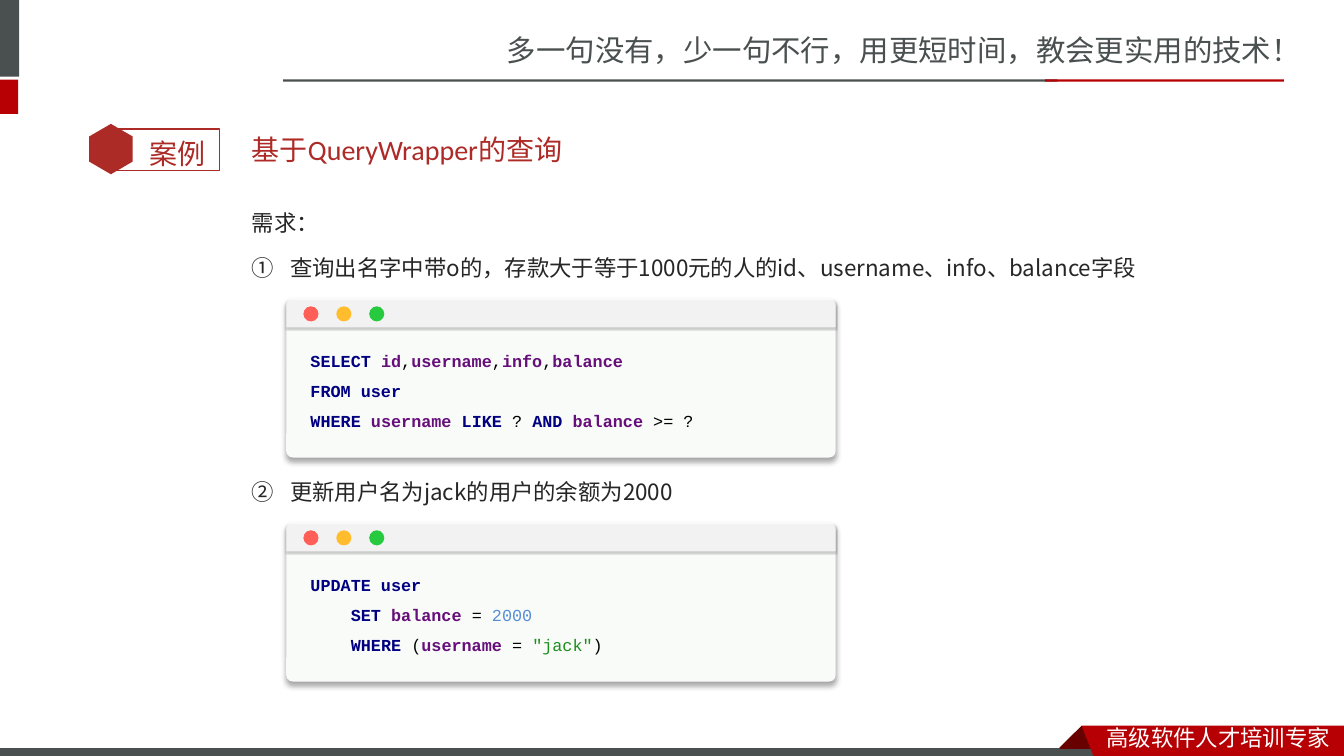
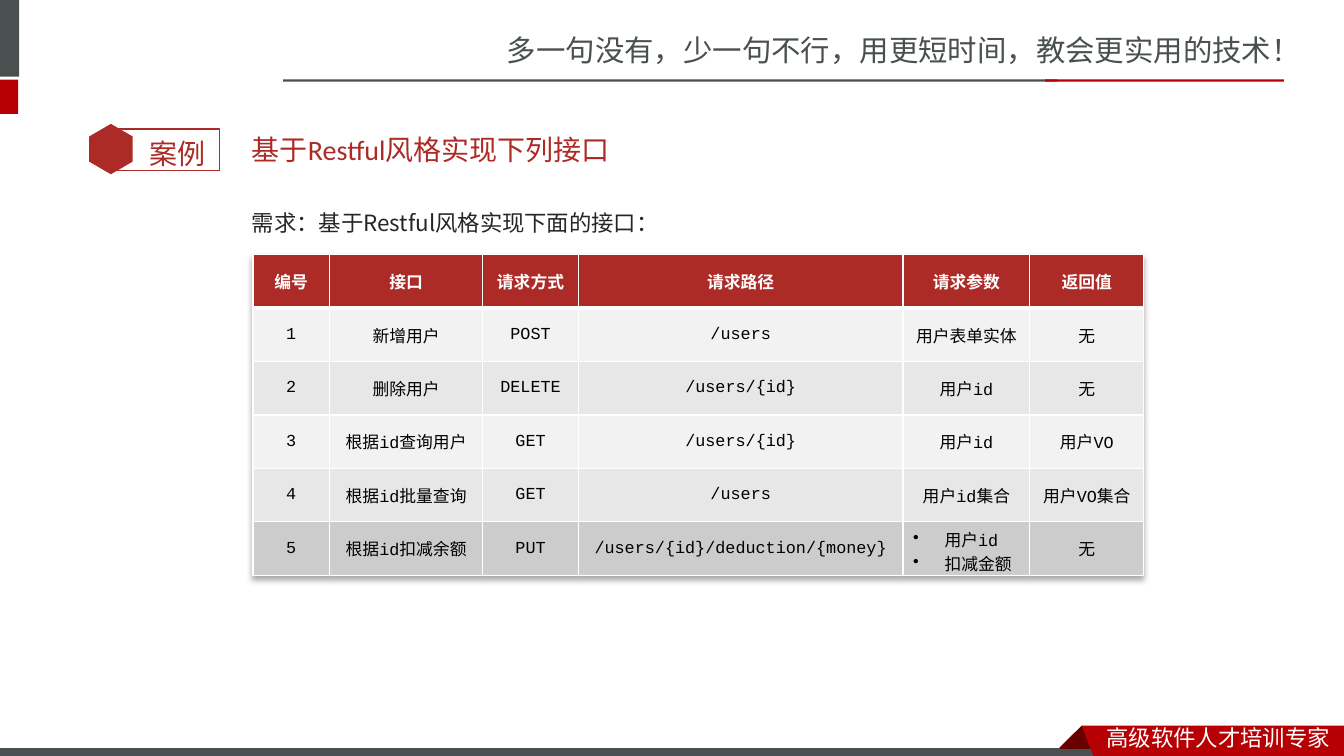
import dataclasses

import lxml.etree
import pptx
import pptx.dml.color
import pptx.enum.shapes
import pptx.enum.text
import pptx.oxml.ns
import pptx.util

Pt = pptx.util.Pt
qn = pptx.oxml.ns.qn
SHAPES = pptx.enum.shapes.MSO_SHAPE
MIDDLE = pptx.enum.text.MSO_ANCHOR.MIDDLE
CENTER = pptx.enum.text.PP_ALIGN.CENTER


@dataclasses.dataclass(frozen=True)
class Theme:
    gray: str = "49504F"
    red: str = "B60004"
    dark_red: str = "680000"
    brick: str = "AD2B26"
    title: str = "AD2A26"
    body: str = "262626"
    white: str = "FFFFFF"
    black: str = "000000"
    panel: str = "F9FBF9"
    light: str = "F2F2F2"
    band: str = "E7E7E7"
    last_row: str = "CCCCCC"
    keyword: str = "000080"
    column: str = "660E7A"
    number: str = "558ED5"
    string: str = "1C8E1C"
    dots: tuple = ("FF5F56", "FFBD2E", "27C93F")
    chinese: str = "Noto Sans CJK SC"
    body_font: str = "Noto Sans CJK JP"
    title_font: str = "Calibri"
    badge_font: str = "Lato"
    code_font: str = "Courier New"
    slogan_size: int = 21
    title_size: int = 20
    body_size: int = 16
    code_size: int = 12


theme = Theme()


def paint(shape, fill=None, line=None, line_width=1, shadow=None):
    shape.shadow.inherit = False
    if fill:
        shape.fill.solid()
        shape.fill.fore_color.rgb = pptx.dml.color.RGBColor.from_string(fill)
    else:
        shape.fill.background()
    if line:
        shape.line.color.rgb = pptx.dml.color.RGBColor.from_string(line)
        shape.line.width = Pt(line_width)
    else:
        shape.line.fill.background()
    if shadow:
        effects = shape._element.spPr.find(qn("a:effectLst"))
        effects.append(pptx.oxml.parse_xml(shadow))


def write(paragraph, pieces, size, font, indent=0, hanging=0, bullet=None):
    for text, color, bold in pieces:
        run = paragraph.add_run()
        run.text = text
        run.font.size = Pt(size)
        run.font.bold = bold
        run.font.name = font
        run.font.color.rgb = pptx.dml.color.RGBColor.from_string(color)
        east_asian = lxml.etree.SubElement(run._r.get_or_add_rPr(), qn("a:ea"))
        east_asian.set("typeface", theme.chinese)
    properties = paragraph._p.get_or_add_pPr()
    if indent:
        properties.set("marL", str(Pt(indent)))
        properties.set("indent", str(-Pt(hanging)))
    if bullet:
        tag, attributes = bullet
        element = lxml.etree.SubElement(properties, qn(tag))
        for name, value in attributes.items():
            element.set(name, value)


SHADOW = (
    '<a:outerShdw xmlns:a="http://schemas.openxmlformats.org/drawingml/2006/main" '
    'blurRad="{}" dist="{}" dir="5400000" algn="t" rotWithShape="0">'
    '<a:srgbClr val="000000"><a:alpha val="{}"/></a:srgbClr></a:outerShdw>'
)
panel_shadow = SHADOW.format(Pt(4), Pt(3), 34000)
bar_shadow = SHADOW.format(Pt(1), Pt(1), 20000)

presentation = pptx.Presentation()
presentation.slide_width = Pt(960)
presentation.slide_height = Pt(540)

titles = ["基于QueryWrapper的查询", "基于Restful风格实现下列接口"]
row_height = 32
requirements = [
    [
        (0, "需求：", None),
        (1, "查询出名字中带o的，存款大于等于1000元的人的id、username、info、balance字段", 1),
        (6, "更新用户名为jack的用户的余额为2000", 2),
    ],
    [(0, "需求：基于Restful风格实现下面的接口：", None)],
]
bands = [
    (-4.3, 0, 18, 54.7, theme.gray, None),
    (-4.3, 56.9, 17.3, 24.5, theme.red, None),
    (202.3, 56.7, 553, 1.6, theme.gray, None),
    (746.6, 56.7, 170.6, 1.6, theme.red, None),
    (-0.7, 533.8, 792, 8.6, theme.gray, theme.white),
    (78.5, 92.2, 78.5, 29.5, None, theme.brick),
]
ribbons = [
    ([(772.6, 518.4), (788.4, 534.2), (787.7, 535), (757.4, 535), (756.7, 534.2)], theme.dark_red),
    ([(772.6, 518.4), (960, 518.4), (960, 542.9), (781.9, 542.2)], theme.red),
]
slides = []
for title, lines in zip(titles, requirements):
    slide = presentation.slides.add_slide(presentation.slide_layouts[6])
    slides.append(slide)
    for left, top, width, height, fill, line in bands:
        band = slide.shapes.add_shape(SHAPES.RECTANGLE, Pt(left), Pt(top), Pt(width), Pt(height))
        paint(band, fill, line, 0.75 if fill else 1)
    for points, fill in ribbons:
        corners = [(Pt(x), Pt(y)) for x, y in points]
        builder = slide.shapes.build_freeform(*corners[0])
        builder.add_line_segments(corners[1:], close=True)
        paint(builder.convert_to_shape(), fill)
    hexagon = slide.shapes.add_shape(SHAPES.HEXAGON, Pt(61.2), Pt(91), Pt(36), Pt(31))
    hexagon.rotation = 90
    hexagon.adjustments[0] = 0.29
    paint(hexagon, theme.brick)

    labels = [
        ("多一句没有，少一句不行，用更短时间，教会更实用的技术！", 355, 18.7, 605.5, 33.8,
         theme.slogan_size, theme.chinese, theme.gray, None),
        ("高级软件人才培训专家", 783.4, 513.5, 176.6, 26.6,
         theme.body_size, theme.chinese, theme.white, None),
        ("案例", 99.4, 89.5, 61.2, 40.3, theme.title_size, theme.badge_font, theme.brick, None),
        (title, 172.8, 86.4, 725.8, 41, theme.title_size, theme.title_font, theme.title, None),
    ]
    for row, text, number in lines:
        labels.append((text, 172.8, 143 + row * row_height, 725.8, row_height,
                       theme.body_size, theme.body_font, theme.body, number))
    for text, left, top, width, height, size, font, color, number in labels:
        box = slide.shapes.add_textbox(Pt(left), Pt(top), Pt(width), Pt(height))
        frame = box.text_frame
        frame.word_wrap = True
        frame.margin_top = frame.margin_bottom = 0
        frame.vertical_anchor = MIDDLE
        indent = 27.4 if number else 0
        bullet = None
        if number:
            bullet = ("a:buAutoNum", {"type": "circleNumDbPlain", "startAt": str(number)})
        write(frame.paragraphs[0], [(text, color, False)], size, font, indent, indent, bullet)

query_slide, interface_slide = slides

token_styles = {
    "keyword": (theme.keyword, True),
    "column": (theme.column, True),
    "plain": (theme.black, False),
    "number": (theme.number, False),
    "string": (theme.string, False),
}
select_code = [
    (0, [("SELECT ", "keyword"), ("id", "column"), (",", "plain"), ("username", "column"),
         (",", "plain"), ("info", "column"), (",", "plain"), ("balance", "column")]),
    (0, [("FROM user", "keyword")]),
    (0, [("WHERE ", "keyword"), ("username ", "column"), ("LIKE ", "keyword"), ("? ", "plain"),
         ("AND ", "keyword"), ("balance ", "column"), (">= ?", "plain")]),
]
update_code = [
    (0, [("UPDATE user", "keyword")]),
    (28.8, [("SET ", "keyword"), ("balance ", "column"), ("= ", "plain"), ("2000", "number")]),
    (28.8, [("WHERE ", "keyword"), ("(", "plain"), ("username ", "column"), ("= ", "plain"),
            ('"jack"', "string"), (")", "plain")]),
]
window_left, window_width = 204.5, 392.4
for window_top, code in [(213, select_code), (373, update_code)]:
    panel = query_slide.shapes.add_shape(
        SHAPES.ROUNDED_RECTANGLE, Pt(window_left), Pt(window_top), Pt(window_width), Pt(113.8))
    panel.adjustments[0] = 0.04
    paint(panel, theme.panel, shadow=panel_shadow)

    box = query_slide.shapes.add_textbox(
        Pt(window_left), Pt(window_top + 26.7), Pt(320), Pt(70.6))
    frame = box.text_frame
    frame.word_wrap = True
    frame.margin_left = frame.margin_right = Pt(17.3)
    for index, (indent, tokens) in enumerate(code):
        paragraph = frame.add_paragraph() if index else frame.paragraphs[0]
        paragraph.line_spacing = 1.5
        pieces = [(text, *token_styles[style]) for text, style in tokens]
        write(paragraph, pieces, theme.code_size, theme.code_font, indent)

    bar = query_slide.shapes.add_shape(
        SHAPES.ROUND_2_SAME_RECTANGLE, Pt(window_left), Pt(window_top + 1.4),
        Pt(window_width), Pt(19.5))
    bar.adjustments[0] = 0.2
    paint(bar, theme.light, shadow=bar_shadow)
    for index, color in enumerate(theme.dots):
        dot = query_slide.shapes.add_shape(
            SHAPES.OVAL, Pt(216.7 + index * 23.5), Pt(window_top + 5.8), Pt(10.8), Pt(10.8))
        paint(dot, color)

interfaces = [
    ["编号", "接口", "请求方式", "请求路径", "请求参数", "返回值"],
    ["1", "新增用户", "POST", "/users", "用户表单实体", "无"],
    ["2", "删除用户", "DELETE", "/users/{id}", "用户id", "无"],
    ["3", "根据id查询用户", "GET", "/users/{id}", "用户id", "用户VO"],
    ["4", "根据id批量查询", "GET", "/users", "用户id集合", "用户VO集合"],
    ["5", "根据id扣减余额", "PUT", "/users/{id}/deduction/{money}", ["用户id", "扣减金额"], "无"],
]
row_fills = [theme.brick, theme.light, theme.band, theme.light, theme.band, theme.last_row]
column_widths = [54.7, 109.4, 68.4, 231.8, 90.7, 81.4]
table_row_height = 38.2
table = interface_slide.shapes.add_table(
    len(interfaces), len(column_widths), Pt(180.7), Pt(181.8),
    Pt(sum(column_widths)), Pt(table_row_height * len(interfaces))).table
effects = lxml.etree.Element(qn("a:effectLst"))
effects.append(pptx.oxml.parse_xml(panel_shadow))
table._tbl.tblPr.insert(0, effects)
for column, width in zip(table.columns, column_widths):
    column.width = Pt(width)
for row_index, (values, fill) in enumerate(zip(interfaces, row_fills)):
    table.rows[row_index].height = Pt(table_row_height)
    header = row_index == 0
    color = theme.white if header else theme.black
    for column_index, value in enumerate(values):
        cell = table.cell(row_index, column_index)
        cell.vertical_anchor = MIDDLE
        cell.fill.solid()
        cell.fill.fore_color.rgb = pptx.dml.color.RGBColor.from_string(fill)
        frame = cell.text_frame
        if isinstance(value, list):
            for index, item in enumerate(value):
                paragraph = frame.add_paragraph() if index else frame.paragraphs[0]
                write(paragraph, [(item, color, header)], theme.code_size, theme.code_font,
                      22.5, 22.5, ("a:buChar", {"char": "•"}))
        else:
            frame.paragraphs[0].alignment = CENTER
            write(frame.paragraphs[0], [(value, color, header)], theme.code_size, theme.code_font)
        border_widths = [1, 1, 3 if row_index == 1 else 1, 3 if header else 1]
        cell_properties = cell._tc.get_or_add_tcPr()
        for position, (side, width) in enumerate(zip("LRTB", border_widths)):
            border = lxml.etree.Element(qn("a:ln" + side), w=str(Pt(width)))
            solid = lxml.etree.SubElement(border, qn("a:solidFill"))
            lxml.etree.SubElement(solid, qn("a:srgbClr"), val=theme.white)
            cell_properties.insert(position, border)

presentation.save("out.pptx")
